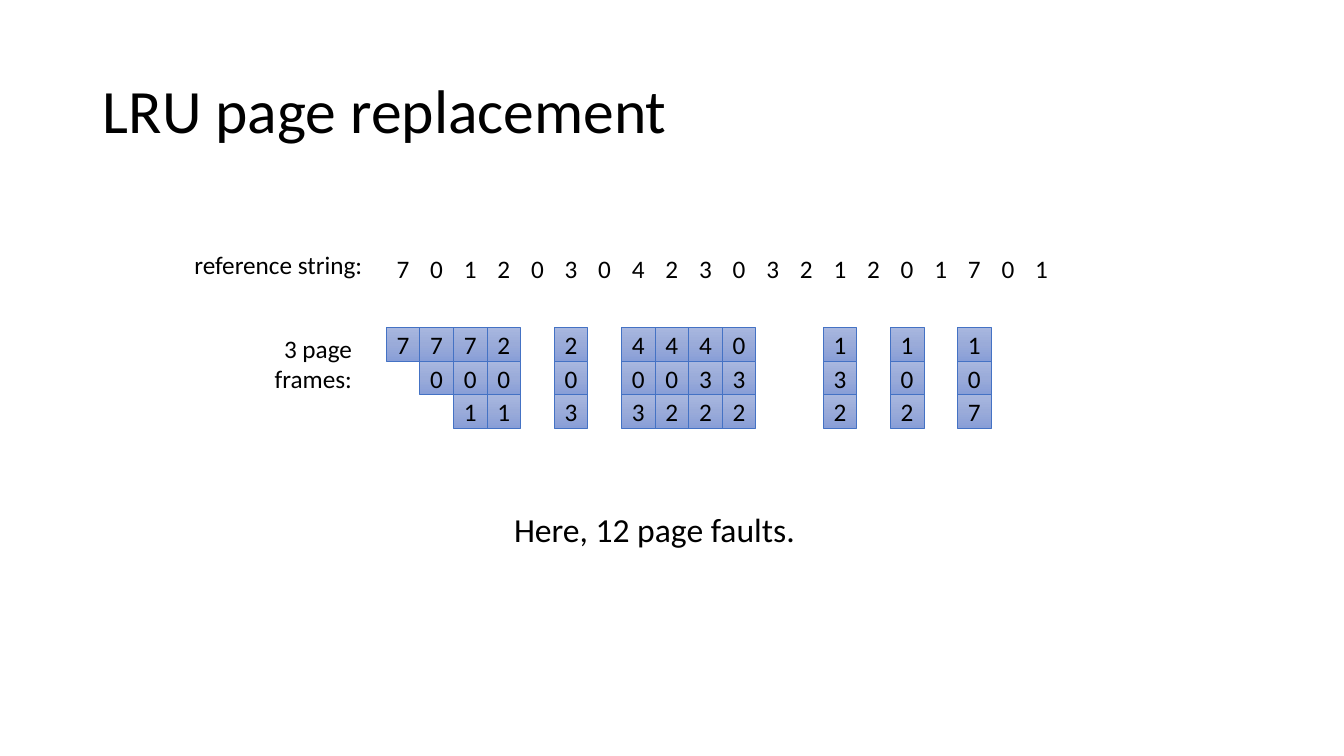
"""Build the slide on LRU page replacement with its reference string and page frames."""
from copy import deepcopy

from pptx import Presentation
from pptx import util as u
from pptx.dml.color import RGBColor
from pptx.enum import shapes, text

BLACK = RGBColor(0x00, 0x00, 0x00)
WHITE = RGBColor(0xFF, 0xFF, 0xFF)
BLUE = RGBColor(0x44, 0x72, 0xC4)
FRAME_SHADES = [RGBColor(0xA8, 0xB7, 0xDF), RGBColor(0x9A, 0xAB, 0xD9), RGBColor(0x88, 0x9E, 0xD7)]

CELL = 1 / 3
GRID_LEFT = 3.83
REFERENCE_TOP = 2.5
FRAMES_TOP = 3.25
REFERENCE_STRING = "70120304230321201701"
FRAMES_AT_FAULT = {
    0: "7", 1: "70", 2: "701", 3: "201", 5: "203", 7: "403",
    8: "402", 9: "432", 10: "032", 13: "132", 15: "102", 17: "107",
}


class PageSlide:
    def __init__(self, deck):
        self.slide = deck.slides.add_slide(deck.slide_layouts[5])
        self.font = {"name": "Calibri", "bold": False}
        self.cell_frame = {
            "margin_left": 0, "margin_right": 0, "margin_top": 0, "margin_bottom": 0,
            "vertical_anchor": text.MSO_ANCHOR.MIDDLE, "word_wrap": False,
        }

    def apply(self, target, values):
        for key, value in values.items():
            setattr(target, key, value)

    def set_text(self, frame, wording, size, frame_format, paragraph_format):
        frame.text = wording
        self.apply(frame, frame_format)
        for paragraph in frame.paragraphs:
            self.apply(paragraph, paragraph_format)
            for run in paragraph.runs:
                self.apply(run.font, {**self.font, "size": u.Pt(size)})
                run.font.color.rgb = BLACK

    def title(self, wording, left, top, width, height):
        heading = self.slide.shapes.title
        self.apply(heading, {
            "left": u.Inches(left), "top": u.Inches(top),
            "width": u.Inches(width), "height": u.Inches(height),
        })
        self.set_text(
            heading.text_frame, wording, 44,
            {"vertical_anchor": text.MSO_ANCHOR.MIDDLE, "auto_size": text.MSO_AUTO_SIZE.NONE},
            {"alignment": text.PP_ALIGN.LEFT, "line_spacing": 0.9},
        )

    def label(self, wording, left, top, width, height, size=18, align=text.PP_ALIGN.LEFT):
        caption = self.slide.shapes.add_textbox(
            u.Inches(left), u.Inches(top), u.Inches(width), u.Inches(height))
        self.set_text(
            caption.text_frame, wording, size,
            {"word_wrap": False, "auto_size": text.MSO_AUTO_SIZE.SHAPE_TO_FIT_TEXT},
            {"alignment": align},
        )

    def cell(self, page, column, top):
        square = self.slide.shapes.add_shape(
            shapes.MSO_SHAPE.RECTANGLE, u.Inches(GRID_LEFT + column * CELL),
            u.Inches(top), u.Inches(CELL), u.Inches(CELL))
        square.shadow.inherit = False
        self.set_text(square.text_frame, page, 18, self.cell_frame,
                      {"alignment": text.PP_ALIGN.CENTER})
        return square

    def reference(self, page, column):
        square = self.cell(page, column, REFERENCE_TOP)
        square.fill.solid()
        square.fill.fore_color.rgb = WHITE
        square.line.fill.background()

    def page_frame(self, page, column, row):
        square = self.cell(page, column, FRAMES_TOP + row * CELL)
        square.fill.gradient()
        square.fill.gradient_angle = 270
        stop_list = next(square.element.spPr.iter("{*}gsLst"))
        stop_list.insert(1, deepcopy(stop_list[0]))
        for stop, shade, position in zip(square.fill.gradient_stops, FRAME_SHADES, (0, 0.5, 1)):
            stop.color.rgb = shade
            stop.position = position
        square.line.color.rgb = BLUE
        square.line.width = u.Pt(0.5)


def main():
    deck = Presentation()
    deck.slide_width, deck.slide_height = u.Inches(13.33), u.Inches(7.5)
    page_slide = PageSlide(deck)
    page_slide.title("LRU page replacement", 0.92, 0.4, 11.5, 1.45)
    for column, page in enumerate(REFERENCE_STRING):
        page_slide.reference(page, column)
    for row in range(3):
        for column, pages in FRAMES_AT_FAULT.items():
            if row < len(pages):
                page_slide.page_frame(pages[row], column, row)
    page_slide.label("reference string:", 1.83, 2.42, 1.89, 0.4)
    page_slide.label("3 page\nframes:", 2.61, 3.26, 0.98, 0.71, align=text.PP_ALIGN.RIGHT)
    page_slide.label("Here, 12 page faults.", 5, 5, 3.01, 0.5, size=24)
    deck.save("out.pptx")


if __name__ == "__main__":
    main()
